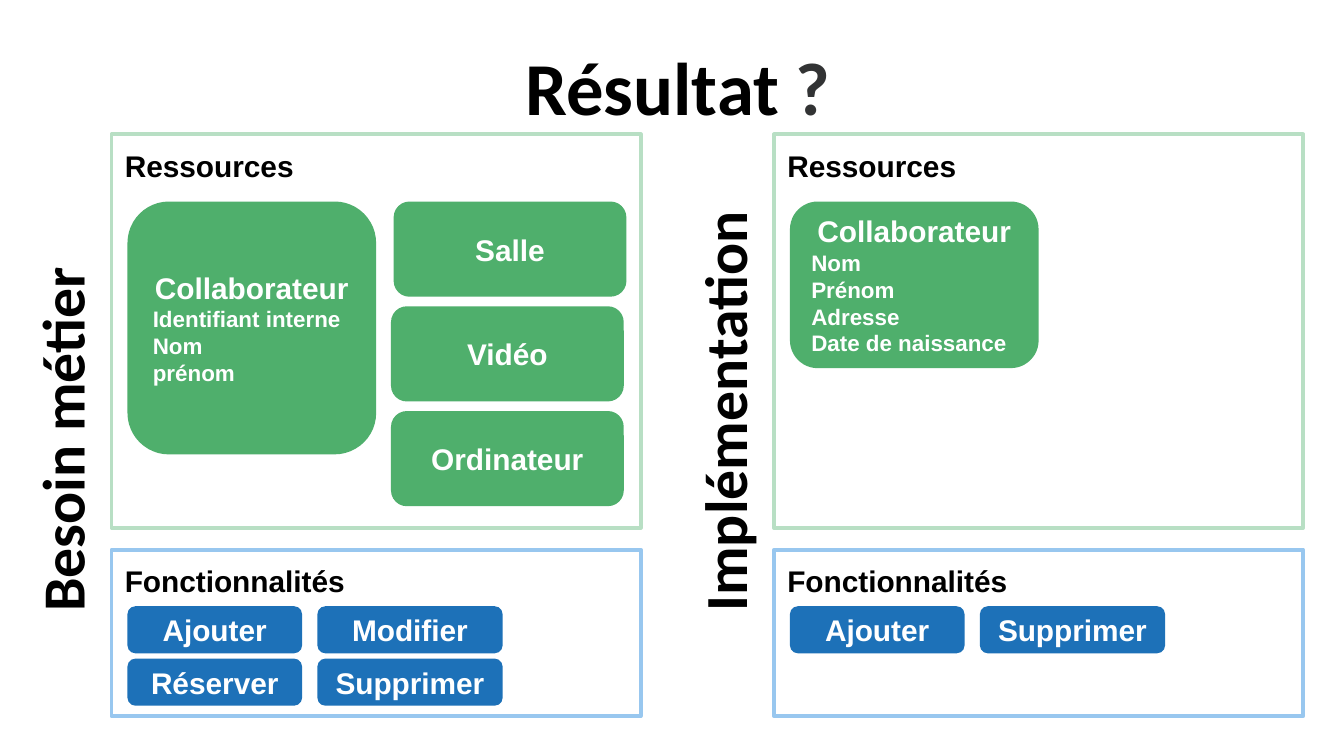
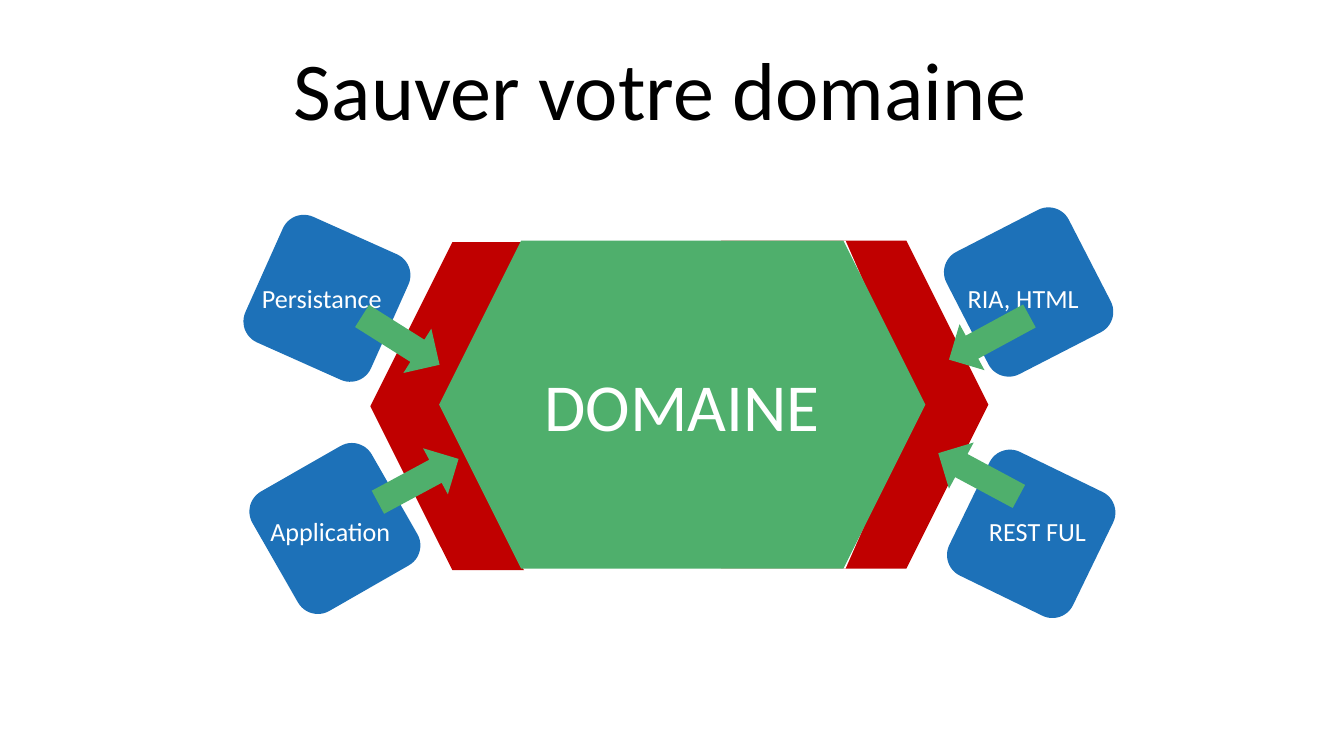
from pptx import Presentation
from pptx.dml.color import RGBColor
from pptx.enum.shapes import MSO_SHAPE as Shape
from pptx.enum.text import MSO_ANCHOR as Anchor, PP_ALIGN as Align
from pptx.util import Cm, Pt

BLACK, WHITE, GREY = "000000", "FFFFFF", "323334"
GREEN, PALE_GREEN = "4FAF6C", "B8DFC4"
BLUE, PALE_BLUE, RED = "1D71B8", "98C7EF", "C00000"

HEADING = {"size": Pt(16), "name": "Arial", "bold": True}
DETAIL = {**HEADING, "size": Pt(12)}
SIDE_LABEL = {"size": Pt(32), "name": "Calibri", "bold": True}
BOLD_TITLE = {**SIDE_LABEL, "size": Pt(40)}
PLAIN_TITLE = {"size": Pt(44), "name": "Calibri", "bold": False}
DOMAIN_NAME = {**PLAIN_TITLE, "size": Pt(36)}
SATELLITE_NAME = {**PLAIN_TITLE, "size": Pt(14)}

TITLE_INSETS = (0.25, 0.2, 0.25, 0.13)
SHAPE_INSETS = (0.25,) * 4
NO_INSETS = (0,) * 4

PANEL_WIDTH = 10
RESOURCES_TOP, RESOURCES_HEIGHT = 2.54, 7.44
FUNCTIONS_TOP, FUNCTIONS_HEIGHT = 10.39, 3.15
SIDE_LABEL_HEIGHT, SIDE_LABEL_BOTTOM, SIDE_LABEL_CENTRE = 1.8, 11.81, -0.94
CARD_TOP, CARD_PITCH = 1.27, 1.98
BUTTON_TOP, BUTTON_PITCH, BUTTON_HEIGHT = 1.07, 0.99, 0.89
BUTTON_COLUMNS = ((0.3, 3.3), (3.89, 3.5))
SATELLITE_SIDE = 2.6


def colour(hex_value):
    return RGBColor.from_string(hex_value)


def apply_format(target, values):
    for attribute, value in values.items():
        setattr(target, attribute, value)


def write(frame, lines, insets, anchor=Anchor.TOP):
    left, top, right, bottom = map(Cm, insets)
    apply_format(frame, {
        "word_wrap": True, "vertical_anchor": anchor,
        "margin_left": left, "margin_top": top,
        "margin_right": right, "margin_bottom": bottom,
    })
    for index, (align, runs) in enumerate(lines):
        paragraph = frame.add_paragraph() if index else frame.paragraphs[0]
        paragraph.alignment = align
        for words, style, ink in runs:
            run = paragraph.add_run()
            run.text = words
            apply_format(run.font, style)
            run.font.color.rgb = colour(ink)


def add_text(slide, box, lines, insets=TITLE_INSETS, rotation=0):
    label = slide.shapes.add_textbox(*map(Cm, box))
    label.rotation = rotation
    write(label.text_frame, lines, insets)


def add_block(slide, kind, box, fill, lines=(), border=None,
              anchor=Anchor.MIDDLE, rotation=0):
    block = slide.shapes.add_shape(kind, *map(Cm, box))
    block.shadow.inherit = False
    block.rotation = rotation
    block.fill.solid()
    block.fill.fore_color.rgb = colour(fill)
    if border:
        block.line.color.rgb = colour(border)
        block.line.width = Pt(2)
    else:
        block.line.fill.background()
    if lines:
        write(block.text_frame, lines, SHAPE_INSETS, anchor)


def add_title(slide, box, *runs):
    add_text(slide, box, [(Align.CENTER, runs)])


def add_panel(slide, box, heading, border):
    add_block(slide, Shape.RECTANGLE, box, WHITE,
              [(Align.LEFT, [(heading, HEADING, BLACK)])], border, Anchor.TOP)


def add_card(slide, box, fill, name, details=()):
    lines = [(Align.CENTER, [(name, HEADING, WHITE)])]
    lines += [(Align.LEFT, [(detail, DETAIL, WHITE)]) for detail in details]
    add_block(slide, Shape.ROUNDED_RECTANGLE, box, fill, lines)


def add_side_label(slide, left, words, length):
    centre_x = left + SIDE_LABEL_CENTRE
    centre_y = SIDE_LABEL_BOTTOM - length / 2
    box = (centre_x - length / 2, centre_y - SIDE_LABEL_HEIGHT / 2,
           length, SIDE_LABEL_HEIGHT)
    add_text(slide, box, [(Align.LEFT, [(words, SIDE_LABEL, BLACK)])],
             rotation=270)


def add_resources(slide, box, person_height, person_details, others):
    left, top = box[:2]
    add_panel(slide, box, "Ressources", PALE_GREEN)
    add_card(slide, (left + 0.3, top + CARD_TOP, 4.7, person_height),
             GREEN, "Collaborateur", person_details)
    for row, (name, offset) in enumerate(others):
        add_card(slide, (left + offset, top + CARD_TOP + row * CARD_PITCH,
                         4.4, 1.8), GREEN, name)


def add_functions(slide, box, names):
    left, top = box[:2]
    add_panel(slide, box, "Fonctionnalités", PALE_BLUE)
    for index, name in enumerate(names):
        row, column = divmod(index, len(BUTTON_COLUMNS))
        offset, width = BUTTON_COLUMNS[column]
        add_card(slide, (left + offset, top + BUTTON_TOP + row * BUTTON_PITCH,
                         width, BUTTON_HEIGHT), BLUE, name)


def add_domain(slide, left, top):
    hexagons = (
        (5.08, 0, 6.6, 6.2, RED, ()),
        (4.9, 0, 5.44, 6.2, WHITE, ()),
        (0, 0.03, 7.42, 6.2, RED, ()),
        (1.42, 0, 6.27, 6.4, WHITE, ()),
        (1.3, 0, 9.19, 6.2, GREEN,
         [(Align.CENTER, [("DOMAINE", DOMAIN_NAME, WHITE)])]),
    )
    for x, y, width, height, fill, lines in hexagons:
        add_block(slide, Shape.HEXAGON, (left + x, top + y, width, height),
                  fill, lines)


def add_satellite(slide, left, top, name, square, label, arrow):
    x, y, turn = square
    add_block(slide, Shape.ROUNDED_RECTANGLE,
              (left + x, top + y, SATELLITE_SIDE, SATELLITE_SIDE),
              BLUE, rotation=turn)
    x, y = label
    add_text(slide, (left + x, top + y, 2.95, 0.61),
             [(Align.LEFT, [(name, SATELLITE_NAME, WHITE)])], NO_INSETS)
    x, y, turn = arrow
    add_block(slide, Shape.RIGHT_ARROW, (left + x, top + y, 1.73, 0.99),
              GREEN, rotation=turn)


def build_result(slide):
    add_title(slide, (0.94, 0.58, 23.75, 2.39),
              ("Résultat", BOLD_TITLE, BLACK), (" ?", BOLD_TITLE, GREY))
    columns = (
        (2.11, "Besoin métier", 7.54, 4.78,
         ("Identifiant interne", "Nom", "prénom"),
         (("Salle", 5.33), ("Vidéo", 5.28), ("Ordinateur", 5.28)),
         ("Ajouter", "Modifier", "Réserver", "Supprimer")),
        (14.63, "Implémentation", 8.48, 3.15,
         ("Nom", "Prénom", "Adresse", "Date de naissance"),
         (), ("Ajouter", "Supprimer")),
    )
    for left, side, length, height, details, others, functions in columns:
        add_resources(slide, (left, RESOURCES_TOP, PANEL_WIDTH,
                              RESOURCES_HEIGHT), height, details, others)
        add_functions(slide, (left, FUNCTIONS_TOP, PANEL_WIDTH,
                              FUNCTIONS_HEIGHT), functions)
        add_side_label(slide, left, side, length)


def build_domain(slide):
    left, top = 7, 4.55
    add_title(slide, (0.89, 0.53, 23.55, 2.39),
              ("Sauver votre domaine ", PLAIN_TITLE, BLACK))
    add_domain(slide, left, top)
    satellites = (
        ("Persistance", (-2.12, -0.21, 24.1), (-2.05, 0.78),
         (-0.29, 1.39, 32.2)),
        ("Application", (-1.97, 4.14, 330.2), (-1.89, 5.2),
         (0.04, 4.04, 331.7)),
        ("RIA, HTML", (11.14, -0.33, 62.8), (11.29, 0.78),
         (10.83, 1.34, 151.5)),
        ("REST FUL", (11.19, 4.24, 295.9), (11.69, 5.2),
         (10.63, 3.93, 208.2)),
    )
    for satellite in satellites:
        add_satellite(slide, left, top, *satellite)


def main():
    deck = Presentation()
    apply_format(deck, {"slide_width": Cm(25.4), "slide_height": Cm(14.29)})
    for build in (build_result, build_domain):
        build(deck.slides.add_slide(deck.slide_layouts[6]))
    deck.save("out.pptx")


if __name__ == "__main__":
    main()
